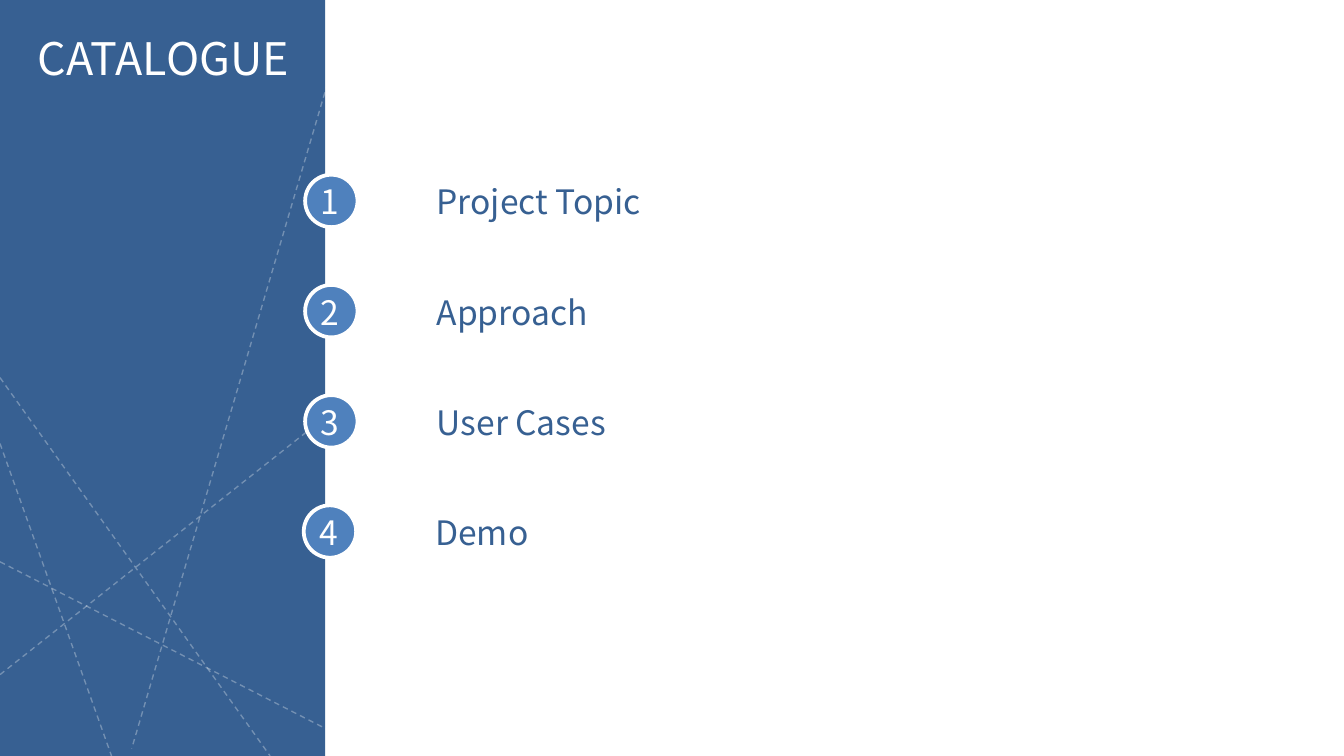
from lxml import etree
from pptx import Presentation
from pptx.dml.color import RGBColor
from pptx.enum import dml, shapes, text
from pptx.oxml.ns import qn
from pptx.util import Inches, Pt

NAVY = RGBColor(0x37, 0x60, 0x92)
BLUE = RGBColor(0x4F, 0x81, 0xBD)
WHITE = RGBColor(0xFF, 0xFF, 0xFF)
FONT = "Noto Sans CJK SC"

# Widescreen slide, 16:9
SLIDE_W = 10
SLIDE_H = SLIDE_W * 9 / 16

# Dashed lines of the side panel: x1, y1, x2, y2
PANEL_LINES = [
    (0, 4.18, 2.82, SLIDE_H),
    (0, 5.02, 5.47, 0.69),
    (0, 3.3, 0.83, SLIDE_H),
    (2.62, 0, 0.98, 5.57),
    (0, 2.81, 2.01, SLIDE_H),
]
# Topic and left edge of its badge
TOPICS = [("Project Topic", 2.27), ("Approach", 2.27), ("User Cases", 2.27), ("Demo", 2.26)]
FIRST_ROW, ROW_STEP = 1.3, 0.82


def add_text(parent, words, box, size, color, align=text.PP_ALIGN.LEFT, wrap=False):
    tf = parent.add_textbox(*map(Inches, box)).text_frame
    tf.word_wrap = wrap
    p = tf.paragraphs[0]
    p.alignment = align
    r = p.add_run()
    r.text = words
    for name, value in {"name": FONT, "size": Pt(size)}.items():
        setattr(r.font, name, value)
    r.font.color.rgb = color


def add_filled(parent, kind, box, color):
    sp = parent.add_shape(kind, *map(Inches, box))
    sp.shadow.inherit = False
    sp.fill.solid()
    sp.fill.fore_color.rgb = color
    sp.line.fill.background()
    return sp


def add_dashed_line(parent, ends):
    line = parent.add_connector(shapes.MSO_CONNECTOR.STRAIGHT, *map(Inches, ends))
    line.line.color.rgb = WHITE
    line.line.width = Pt(0.75)
    line.line.dash_style = dml.MSO_LINE.DASH
    # Transparency and no shadow
    sppr = line._element.spPr
    color = sppr.find(".//" + qn("a:srgbClr"))
    etree.SubElement(color, qn("a:alpha")).set("val", "29000")
    etree.SubElement(sppr, qn("a:effectLst"))


def add_panel(s, left, top, width, height):
    add_filled(s.shapes, shapes.MSO_SHAPE.RECTANGLE, (left, top, width, height), NAVY)
    group = s.shapes.add_group_shape().shapes
    for x1, y1, x2, y2 in PANEL_LINES:
        add_dashed_line(group, (left + x1, top + y1, left + x2, top + y2))
    add_text(s.shapes, "CATALOGUE", (left + 0.15, top + 0.18, 2.13, 0.5), 24, WHITE,
             text.PP_ALIGN.CENTER)


def add_topic(s, number, words, left, top):
    # Numbered badge
    group = s.shapes.add_group_shape().shapes
    badge = add_filled(group, shapes.MSO_SHAPE.OVAL, (left, top, 0.39, 0.39), BLUE)
    badge.line.color.rgb = WHITE
    badge.line.width = Pt(2)
    add_text(group, str(number), (left + 0.02, top, 0.34, 0.4), 18, WHITE)
    # Topic name
    add_text(s.shapes, words, (left + 0.88, top, 6.15, 0.4), 18, NAVY, wrap=True)


def main():
    prs = Presentation()
    prs.slide_width, prs.slide_height = Inches(SLIDE_W), Inches(SLIDE_H)
    s = prs.slides.add_slide(prs.slide_layouts[6])
    add_panel(s, 0, 0, 2.42, SLIDE_H)
    for i, (words, left) in enumerate(TOPICS):
        add_topic(s, i + 1, words, left, FIRST_ROW + i * ROW_STEP)
    prs.save("out.pptx")


if __name__ == "__main__":
    main()
